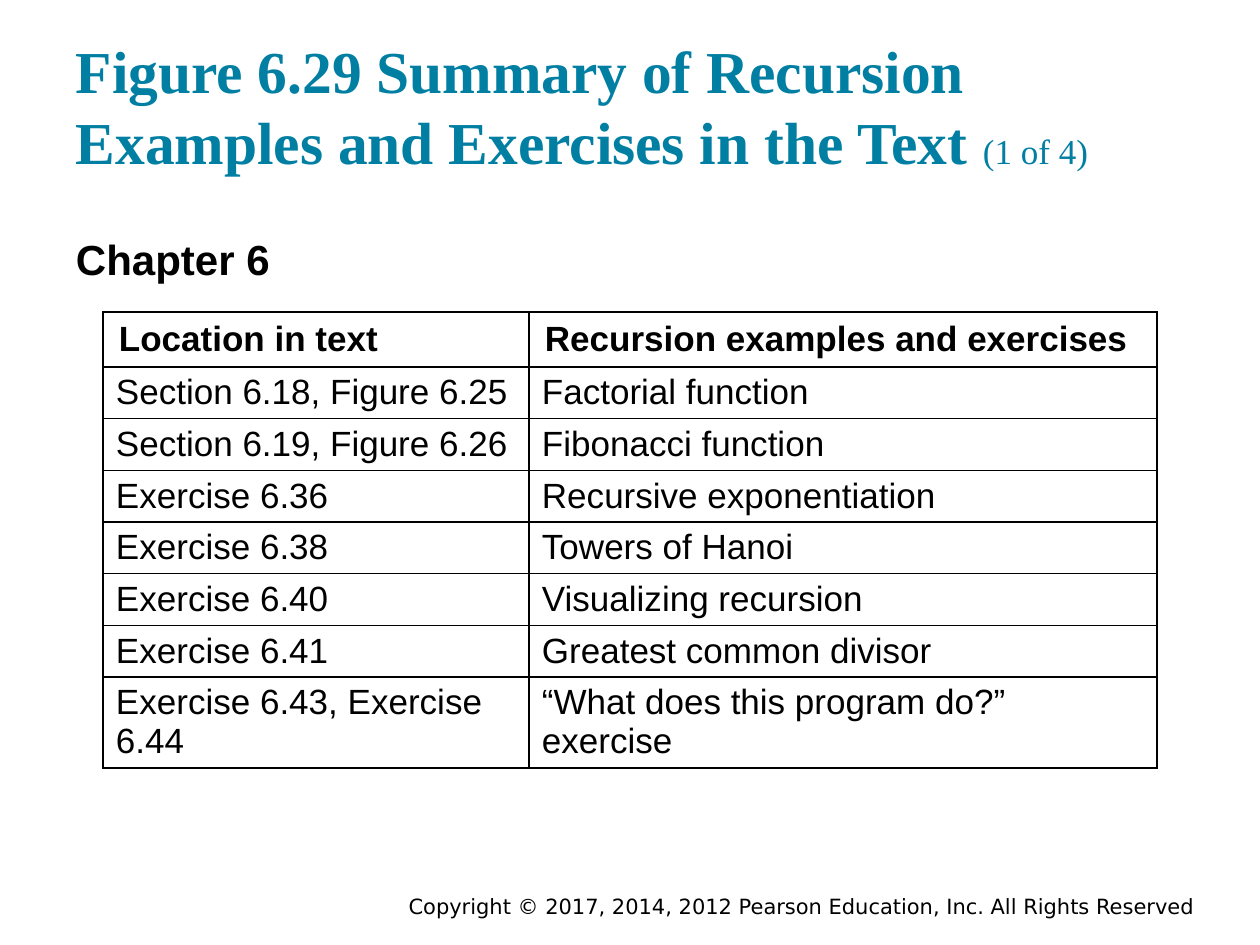
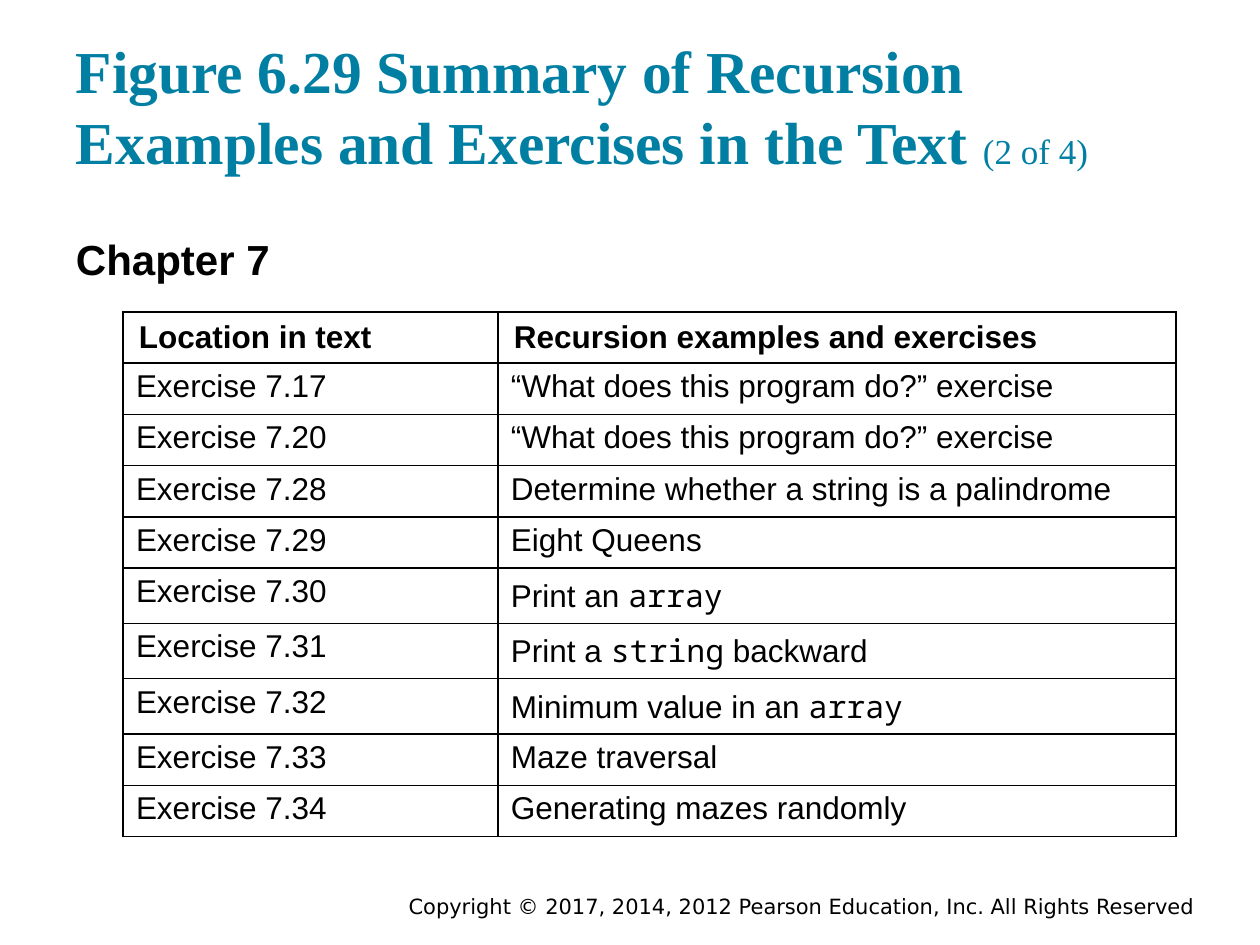
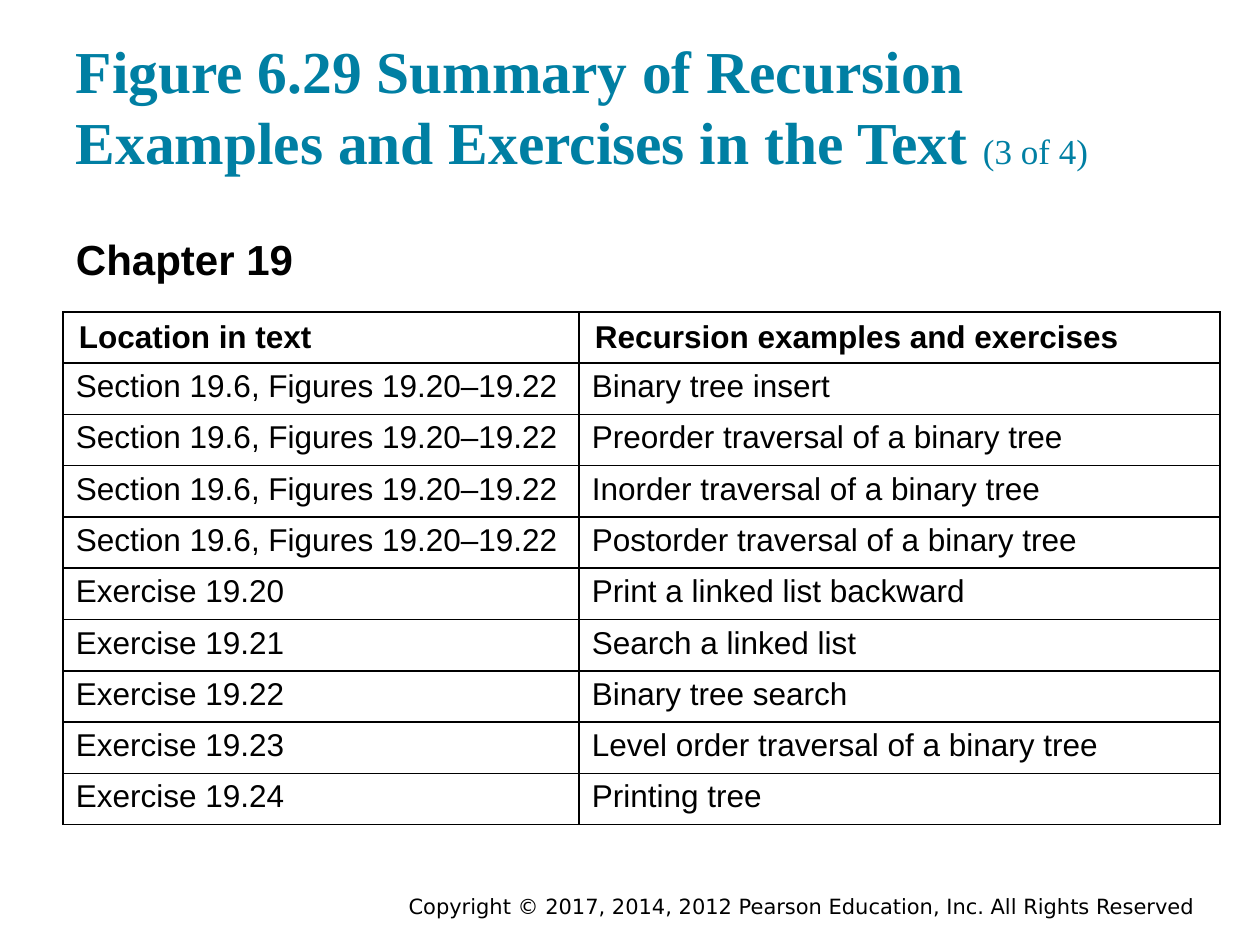
from pptx import Presentation
from pptx.dml.color import RGBColor
from pptx.enum.text import MSO_ANCHOR, PP_ALIGN
from pptx.oxml import parse_xml
from pptx.oxml.ns import nsdecls
from pptx.util import Pt

# Content
TITLE = "Figure 6.29 Summary of Recursion Examples and Exercises in the Text "
FOOT = "Copyright © 2017, 2014, 2012 Pearson Education, Inc. All Rights Reserved"
HEAD = ("Location in text", "Recursion examples and exercises")
TOTAL = 4
QUIZ = "“What does this program do?” exercise"
TREE = "Section 19.6, Figures 19.20–19.22"

# Words between backticks are set in the code font; "ten" is the height of ten rows
PAGES = [
    {"name": "Chapter 6", "left": 103, "cols": (426, 628), "size": 20,
     "head": 55, "ten": 517, "rows": [
        ("Section 6.18, Figure 6.25", "Factorial function"),
        ("Section 6.19, Figure 6.26", "Fibonacci function"),
        ("Exercise 6.36", "Recursive exponentiation"),
        ("Exercise 6.38", "Towers of Hanoi"),
        ("Exercise 6.40", "Visualizing recursion"),
        ("Exercise 6.41", "Greatest common divisor"),
        ("Exercise 6.43, Exercise 6.44", QUIZ),
     ]},
    {"name": "Chapter 7", "left": 123, "cols": (375, 678), "size": 18,
     "head": 51, "ten": 513, "rows": [
        ("Exercise 7.17", QUIZ),
        ("Exercise 7.20", QUIZ),
        ("Exercise 7.28", "Determine whether a string is a palindrome"),
        ("Exercise 7.29", "Eight Queens"),
        ("Exercise 7.30", "Print an `array`"),
        ("Exercise 7.31", "Print a `string` backward"),
        ("Exercise 7.32", "Minimum value in an `array`"),
        ("Exercise 7.33", "Maze traversal"),
        ("Exercise 7.34", "Generating mazes randomly"),
     ]},
    {"name": "Chapter 19", "left": 63, "cols": (516, 641), "size": 18,
     "head": 51, "ten": 513, "rows": [
        (TREE, "Binary tree insert"),
        (TREE, "Preorder traversal of a binary tree"),
        (TREE, "Inorder traversal of a binary tree"),
        (TREE, "Postorder traversal of a binary tree"),
        ("Exercise 19.20", "Print a linked list backward"),
        ("Exercise 19.21", "Search a linked list"),
        ("Exercise 19.22", "Binary tree search"),
        ("Exercise 19.23", "Level order traversal of a binary tree"),
        ("Exercise 19.24", "Printing tree"),
     ]},
]

# Shared style
INK = {"title": "007FA3", "text": "000000", "rule": "000000"}
FONT = {"title": "Times New Roman", "text": "Arial",
        "code": "Noto Sans Mono", "foot": "DejaVu Sans"}
TOP, CODE = 312, 4  # table top, extra height of a row with code


def px(n):
    return round(n * 914400 / 126)


def style(run, font, size, ink="text", bold=False):
    run.font.name = FONT[font]
    run.font.size = Pt(size)
    run.font.bold = bold
    run.font.color.rgb = RGBColor.from_string(INK[ink])


def pad(part, left, top, right, base):
    part.margin_left, part.margin_top = px(left), px(top)
    part.margin_right, part.margin_bottom = px(right), px(base)


def add_box(slide, place, pads, anchor):
    frame = slide.shapes.add_textbox(*map(px, place)).text_frame
    frame.word_wrap = True
    frame.vertical_anchor = anchor
    pad(frame, *pads)
    return frame.paragraphs[0]


def add_title(slide, num):
    para = add_box(slide, (63, 30, 1134, 151), (13, 6, 13, 6), MSO_ANCHOR.MIDDLE)
    for text, size, bold in ((TITLE, 34, True), (f"({num} of {TOTAL})", 20, False)):
        run = para.add_run()
        run.text = text
        style(run, "title", size, "title", bold)


def add_name(slide, name):
    para = add_box(slide, (63, 220, 1134, 69), (13, 13, 13, 13), MSO_ANCHOR.TOP)
    para.text = name
    style(para.runs[0], "text", 24, bold=True)


def add_foot(slide):
    para = add_box(slide, (366, 889, 842, 34), (13, 6, 13, 6), MSO_ANCHOR.MIDDLE)
    para.text = FOOT
    para.alignment = PP_ALIGN.RIGHT
    style(para.runs[0], "foot", 12)


def add_rules(cell):
    props = cell._tc.get_or_add_tcPr()
    for spot, side in enumerate("LRTB"):
        props.insert(spot, parse_xml(
            f'<a:ln{side} {nsdecls("a")} w="12700"><a:solidFill>'
            f'<a:srgbClr val="{INK["rule"]}"/></a:solidFill></a:ln{side}>'))


def fill_cell(cell, text, size, head):
    pad(cell, *((16, 8, 16, 4) if head else (13, 6, 13, 1)))
    cell.fill.background()
    add_rules(cell)
    para = cell.text_frame.paragraphs[0]
    for spot, part in enumerate(text.split("`")):
        if part:
            run = para.add_run()
            run.text = part
            style(run, "code" if spot % 2 else "text", size, bold=head)


def add_grid(slide, page):
    rows, cols = [HEAD, *page["rows"]], page["cols"]
    step = page["ten"] / 10
    highs = [page["head"]] + [step + CODE * ("`" in row[1]) for row in page["rows"]]
    place = (page["left"], TOP, sum(cols), sum(highs))
    grid = slide.shapes.add_table(len(rows), len(cols), *map(px, place)).table
    grid.first_row = grid.horz_banding = False
    for col, wide in zip(grid.columns, cols):
        col.width = px(wide)
    for r, row in enumerate(rows):
        grid.rows[r].height = px(highs[r])
        for c, text in enumerate(row):
            fill_cell(grid.cell(r, c), text, page["size"], r == 0)


def main():
    deck = Presentation()
    deck.slide_width, deck.slide_height = px(1260), px(945)
    for num, page in enumerate(PAGES, 1):
        slide = deck.slides.add_slide(deck.slide_layouts[6])
        add_foot(slide)
        add_title(slide, num)
        add_name(slide, page["name"])
        add_grid(slide, page)
    deck.save("out.pptx")


if __name__ == "__main__":
    main()
